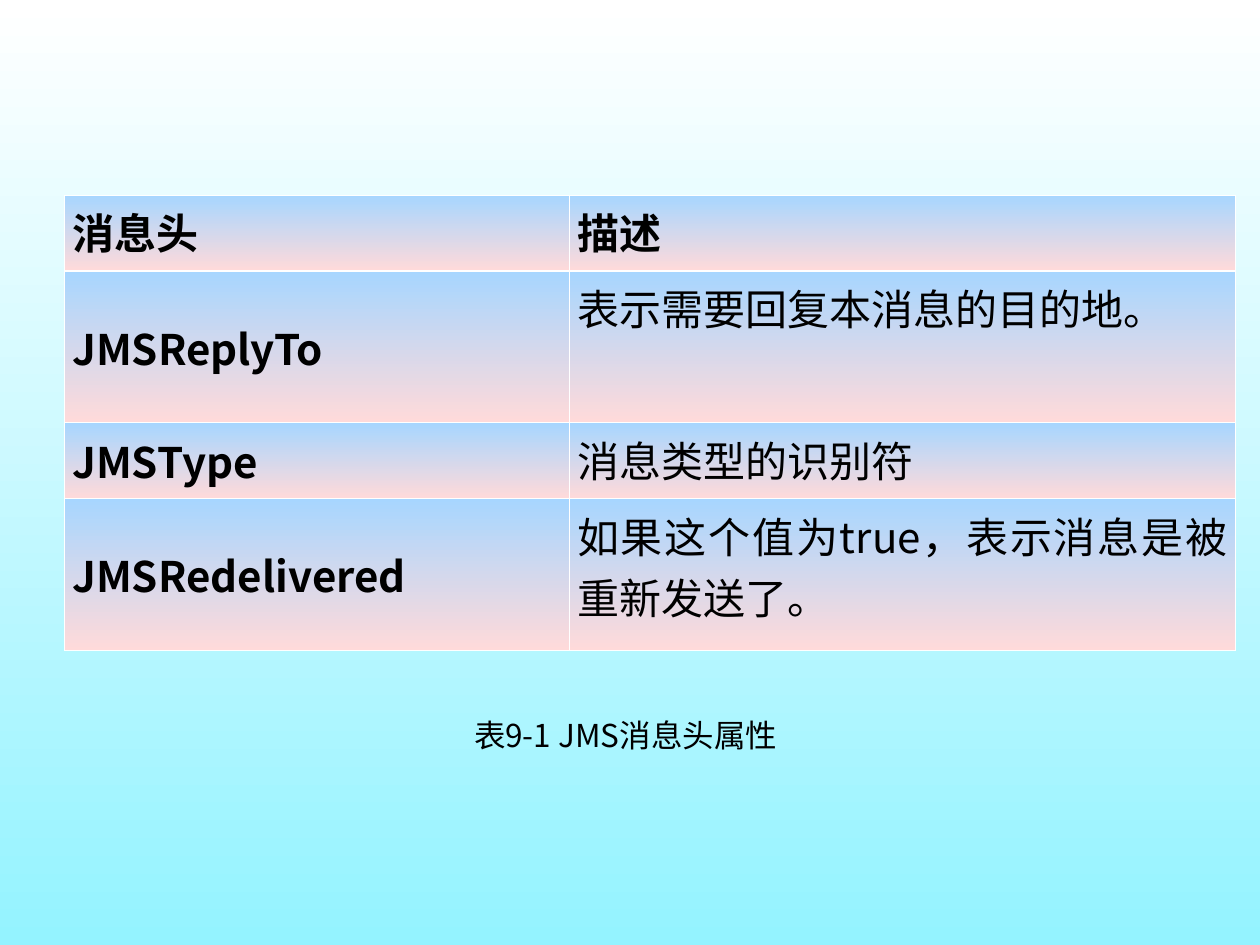
"""Build a slide with a table of JMS message headers and its caption."""
import pptx
import pptx.dml.color
import pptx.enum.text
import pptx.oxml
import pptx.oxml.ns
import pptx.util
from lxml import etree

Pt = pptx.util.Pt
RGBColor = pptx.dml.color.RGBColor
ALIGN = pptx.enum.text.PP_ALIGN
ANCHOR = pptx.enum.text.MSO_ANCHOR

FONT = "Noto Sans CJK SC"
BLACK = RGBColor(0x00, 0x00, 0x00)
WHITE = RGBColor(0xFF, 0xFF, 0xFF)
CYAN = RGBColor(0x94, 0xF3, 0xFF)
BLUE = RGBColor(0xA7, 0xD6, 0xFF)
PINK = RGBColor(0xFF, 0xDA, 0xDA)

ROWS = [
    ("消息头", "描述"),
    ("JMSReplyTo", "表示需要回复本消息的目的地。"),
    ("JMSType", "消息类型的识别符"),
    ("JMSRedelivered", "如果这个值为true，表示消息是被重新发送了。"),
]
CAPTION = "表9-1 JMS消息头属性"
COL_WIDTHS = [288.5, 380.5]
ROW_HEIGHTS = [43.4, 86.7, 43.4, 86.7]
TABLE_LEFT, TABLE_TOP = 36.8, 111.4
THIN, THICK = 0.45, 1.47


def write(tf, text, size=24, bold=False, align=ALIGN.JUSTIFY):
    p = tf.paragraphs[0]
    p.alignment = align
    r = p.add_run()
    r.text = text
    r.font.size = Pt(size)
    r.font.bold = bold
    r.font.name = FONT
    r.font.color.rgb = BLACK
    ea = etree.SubElement(r.font._element, pptx.oxml.ns.qn("a:ea"))
    ea.set("typeface", FONT)


def shade(fill, top, bottom):
    fill.gradient()
    fill.gradient_angle = 270
    for stop, color in zip(fill.gradient_stops, (top, bottom)):
        stop.color.rgb = color


def set_borders(cell, **widths):
    tc_pr = cell._tc.get_or_add_tcPr()
    for side in "LRTB":
        tc_pr.append(pptx.oxml.parse_xml(
            f'<a:ln{side} {pptx.oxml.ns.nsdecls("a")} w="{Pt(widths.get(side, THIN))}">'
            f'<a:solidFill><a:srgbClr val="{WHITE}"/></a:solidFill></a:ln{side}>'))


def add_header_table(s):
    table = s.shapes.add_table(
        len(ROWS), len(COL_WIDTHS), Pt(TABLE_LEFT), Pt(TABLE_TOP),
        Pt(sum(COL_WIDTHS)), Pt(sum(ROW_HEIGHTS))).table
    for column, width in zip(table.columns, COL_WIDTHS):
        column.width = Pt(width)
    for i, (row, height) in enumerate(zip(table.rows, ROW_HEIGHTS)):
        row.height = Pt(height)
        for j, cell in enumerate(row.cells):
            cell.margin_left = cell.margin_right = Pt(4.5)
            cell.margin_top = cell.margin_bottom = Pt(3.6)
            cell.vertical_anchor = ANCHOR.MIDDLE if i and j == 0 else ANCHOR.TOP
            set_borders(cell, T=THICK if i == 1 else THIN, B=THICK if i == 0 else THIN)
            shade(cell.fill, BLUE, PINK)
            write(cell.text_frame, ROWS[i][j], bold=i == 0 or j == 0)


def main():
    prs = pptx.Presentation()
    prs.slide_width, prs.slide_height = Pt(720), Pt(540)
    s = prs.slides.add_slide(prs.slide_layouts[6])
    shade(s.background.fill, WHITE, CYAN)
    add_header_table(s)
    tf = s.shapes.add_textbox(Pt(150.5), Pt(405.4), Pt(414), Pt(29)).text_frame
    tf.word_wrap = True
    write(tf, CAPTION, size=18, align=ALIGN.CENTER)
    prs.save("out.pptx")


if __name__ == "__main__":
    main()
